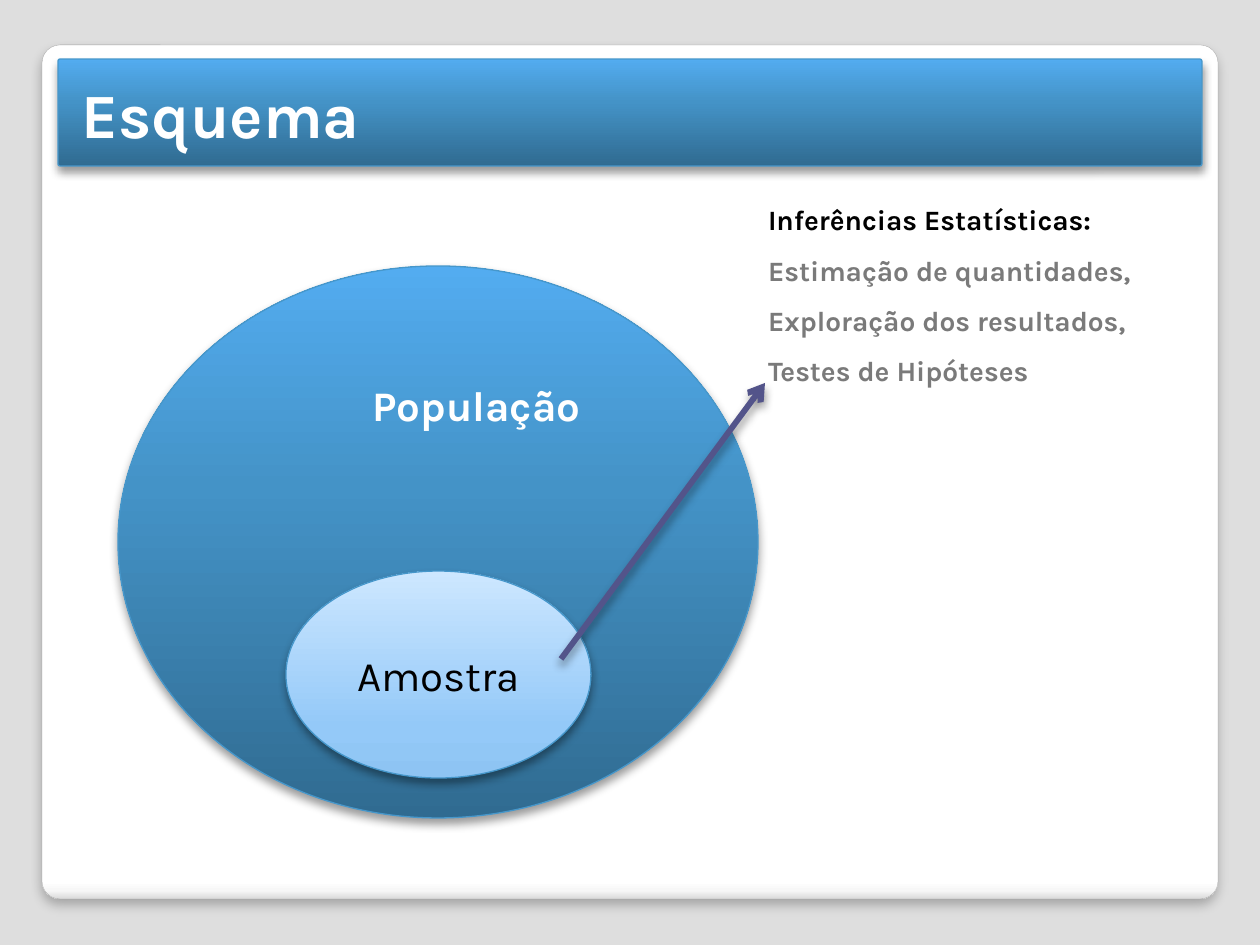
from lxml.etree import SubElement
from pptx import Presentation
from pptx.dml.color import RGBColor
from pptx.enum.shapes import MSO_CONNECTOR, MSO_SHAPE
from pptx.enum.text import MSO_ANCHOR, PP_ALIGN
from pptx.oxml.ns import qn
from pptx.util import Emu, Pt

FONT = "Karla"
PAGE_GREY = RGBColor(0xDE, 0xDE, 0xDE)
CARD_EDGE = RGBColor(0xA4, 0xA4, 0xA4)
BLUE_EDGE = RGBColor(0x46, 0x97, 0xCB)
ARROW_PURPLE = RGBColor(0x53, 0x54, 0x8A)
WHITE = RGBColor(0xFF, 0xFF, 0xFF)
BLACK = RGBColor(0, 0, 0)
TEXT_GREY = RGBColor(0x7A, 0x7A, 0x7A)

# Gradient stops: position in percent, colour
CARD_STOPS = [(0, WHITE), (98, WHITE), (99, RGBColor(0xF7, 0xF7, 0xF7)),
              (100, RGBColor(0xDA, 0xDA, 0xDA))]
DEEP_STOPS = [(0, RGBColor(0x30, 0x6B, 0x91)), (60, RGBColor(0x44, 0x93, 0xC7)),
              (100, RGBColor(0x53, 0xAC, 0xF0))]
PALE_STOPS = [(0, RGBColor(0x8E, 0xC4, 0xF3)), (25, RGBColor(0x94, 0xC9, 0xF8)),
              (100, RGBColor(0xCD, 0xE7, 0xFF))]


def px(length):
    return Emu(round(length * 914400 / 126))


def add_element(parent, tag, **attributes):
    values = {name: str(value) for name, value in attributes.items()}
    return SubElement(parent, qn(tag), values)


def set_shadow(shape, opacity=40, blur=5.2, distance=3):
    """Cast a soft black shadow straight down."""
    effects = add_element(shape.element.spPr, "a:effectLst")
    shadow = add_element(effects, "a:outerShdw", blurRad=Pt(blur), dist=Pt(distance),
                         dir=90 * 60000, algn="ctr", rotWithShape=0)
    colour = add_element(shadow, "a:srgbClr", val=BLACK)
    add_element(colour, "a:alpha", val=opacity * 1000)


def set_gradient(shape, stops, angle):
    properties = shape.element.spPr
    gradient = add_element(properties, "a:gradFill", rotWithShape=1)
    stop_list = add_element(gradient, "a:gsLst")
    for position, colour in stops:
        stop = add_element(stop_list, "a:gs", pos=position * 1000)
        add_element(stop, "a:srgbClr", val=colour)
    add_element(gradient, "a:lin", ang=angle * 60000, scaled=0)
    properties.find(qn("a:ln")).addprevious(gradient)


def add_panel(page, kind, bounds, stops, angle=270, edge=BLUE_EDGE, width=0.75):
    panel = page.shapes.add_shape(kind, *map(px, bounds))
    if kind == MSO_SHAPE.ROUNDED_RECTANGLE:
        panel.adjustments[0] = 0.021
    panel.line.color.rgb = edge
    panel.line.width = Pt(width)
    set_gradient(panel, stops, angle)
    return panel


def style_font(font, size, colour, bold=False):
    font.name = FONT
    font.size = Pt(size)
    font.bold = bold
    font.color.rgb = colour


def add_text_box(page, bounds):
    """Return the empty, spaced paragraph of a new text box."""
    frame = page.shapes.add_textbox(*map(px, bounds)).text_frame
    frame.word_wrap = True
    frame.margin_left, frame.margin_top = px(25), 0
    frame.margin_right, frame.margin_bottom = px(13), px(6)
    para = frame.paragraphs[0]
    para.line_spacing = 1.5
    para._p.get_or_add_pPr().set("marL", str(px(5)))
    return para


def add_title(page, text):
    title = page.shapes.title
    title.left, title.top, title.width, title.height = map(px, (69, 59, 1128, 108))
    title.text_frame.text = text
    title.text_frame.vertical_anchor = MSO_ANCHOR.MIDDLE
    para = title.text_frame.paragraphs[0]
    para.alignment = PP_ALIGN.LEFT
    style_font(para.font, 36, WHITE, bold=True)
    # Bring the title in front of its banner
    title.element.getparent().append(title.element)


def add_arrow(page, start, end):
    arrow = page.shapes.add_connector(MSO_CONNECTOR.STRAIGHT, *map(px, start + end))
    arrow.line.color.rgb = ARROW_PURPLE
    arrow.line.width = Pt(3.35)
    add_element(arrow.element.spPr.find(qn("a:ln")), "a:tailEnd", type="arrow")
    set_shadow(arrow)


def main():
    deck = Presentation()
    deck.slide_width, deck.slide_height = px(1260), px(945)
    page = deck.slides.add_slide(deck.slide_layouts[5])
    page.background.fill.solid()
    page.background.fill.fore_color.rgb = PAGE_GREY

    # Card and title banner
    card = add_panel(page, MSO_SHAPE.ROUNDED_RECTANGLE, (42, 45, 1176, 854),
                     CARD_STOPS, 90, CARD_EDGE, 0.16)
    set_shadow(card, opacity=25, blur=6, distance=4)
    banner = add_panel(page, MSO_SHAPE.ROUNDED_RECTANGLE, (58, 59, 1144, 107), DEEP_STOPS)
    set_shadow(banner)
    add_title(page, "Esquema")

    # Population with the sample inside it
    population = add_panel(page, MSO_SHAPE.OVAL, (118, 266, 640, 552), DEEP_STOPS)
    set_shadow(population)
    sample = add_panel(page, MSO_SHAPE.OVAL, (286, 571, 305, 207), PALE_STOPS)
    set_shadow(sample)
    sample.text_frame.text = "Amostra"
    sample.text_frame.vertical_anchor = MSO_ANCHOR.MIDDLE
    sample_para = sample.text_frame.paragraphs[0]
    sample_para.alignment = PP_ALIGN.CENTER
    style_font(sample_para.font, 24, BLACK)

    label = add_text_box(page, (286, 354, 364, 88))
    label.text = "População"
    label.alignment = PP_ALIGN.CENTER
    style_font(label.font, 24, WHITE, bold=True)

    # Inferences drawn from the sample
    add_arrow(page, (561, 659), (765, 383))
    inferences = add_text_box(page, (738, 186, 462, 217))
    for text, colour in (
        ("Inferências Estatísticas: ", BLACK),
        ("Estimação de quantidades, Exploração dos resultados, Testes de Hipóteses",
         TEXT_GREY),
    ):
        span = inferences.add_run()
        span.text = text
        style_font(span.font, 16, colour, bold=True)

    deck.save("out.pptx")


if __name__ == "__main__":
    main()
